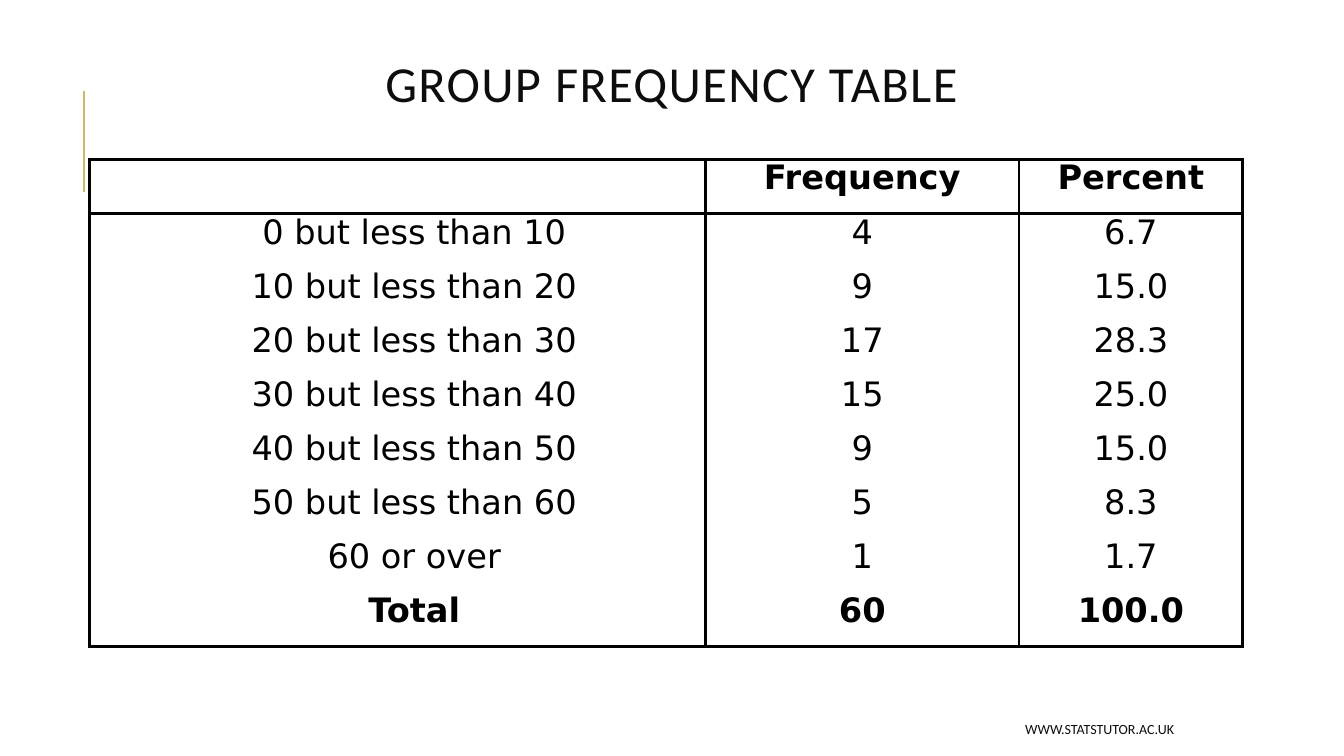
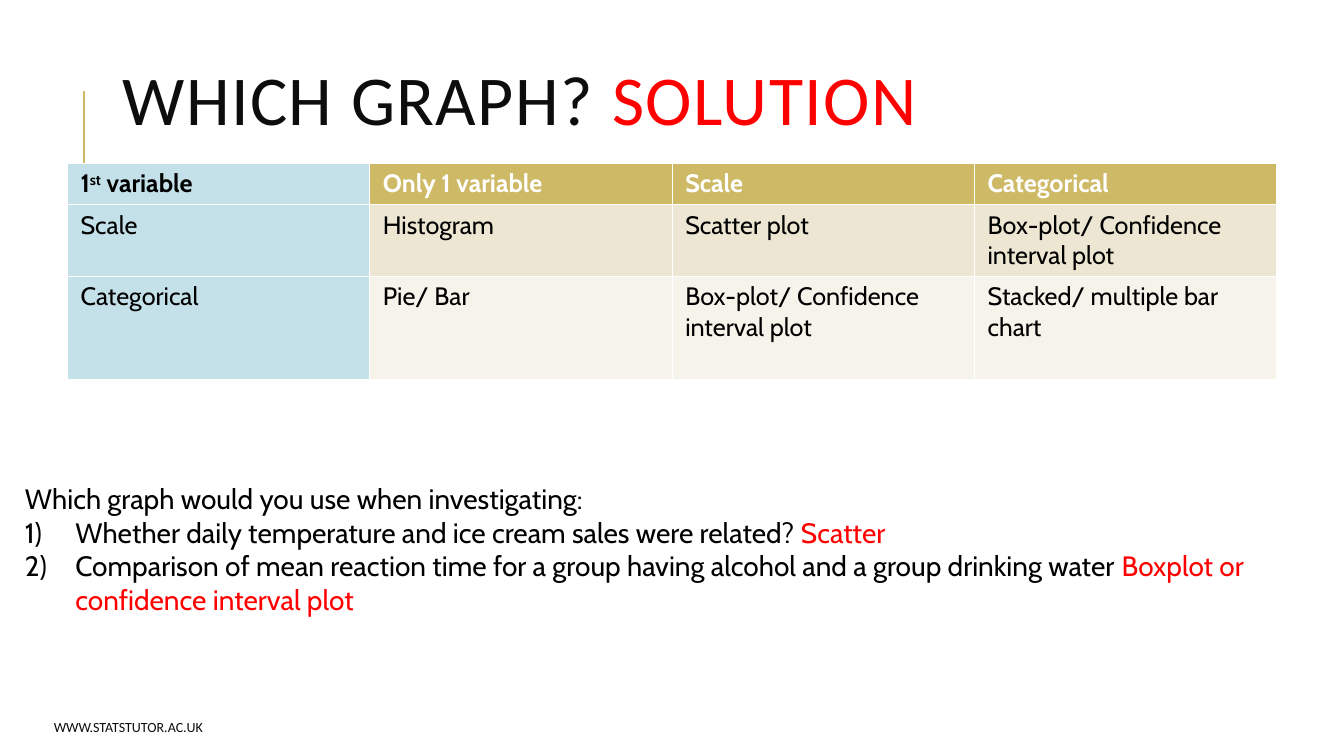
"""Build two slides on grouped frequencies and on choosing a graph."""
import lxml.etree
import pptx
import pptx.dml.color
import pptx.enum.shapes
import pptx.enum.text
import pptx.oxml.ns
import pptx.util

Cm = pptx.util.Cm
Pt = pptx.util.Pt
align = pptx.enum.text.PP_ALIGN
anchor = pptx.enum.text.MSO_ANCHOR
qn = pptx.oxml.ns.qn

COLOURS = {
    "black": "000000", "white": "FFFFFF", "title": "0D0D0D", "answer": "FF0000",
    "gold": "CEB966", "blue": "C4E0E9", "sand": "EDE6D3", "cream": "F6F3EA",
}


def add_run(para, text, font, size, colour="black", bold=False, **attributes):
    """Add one formatted run; extra attributes go to its run properties."""
    span = para.add_run()
    span.text = text
    span.font.name = font
    span.font.size = Pt(size)
    span.font.bold = bold
    span.font.color.rgb = pptx.dml.color.RGBColor.from_string(COLOURS[colour])
    for name, value in attributes.items():
        span._r.get_or_add_rPr().set(name, value)


def fill_cell(cell, colour, borders=()):
    """Fill a cell, after drawing its (side, points) borders."""
    properties = cell._tc.get_or_add_tcPr()
    for side, points in borders:
        line = lxml.etree.SubElement(properties, qn(f"a:ln{side}"), w=str(Pt(points)))
        if points:
            solid = lxml.etree.SubElement(line, qn("a:solidFill"))
            lxml.etree.SubElement(solid, qn("a:srgbClr"), val=COLOURS["black"])
        else:
            lxml.etree.SubElement(line, qn("a:noFill"))
    cell.fill.solid()
    cell.fill.fore_color.rgb = pptx.dml.color.RGBColor.from_string(COLOURS[colour])


deck = pptx.Presentation()
deck.slide_width, deck.slide_height = Cm(33.87), Cm(19.05)
layout = deck.slide_layouts[5]

slide_frames = [
    {
        "title": [("GROUP FREQUENCY TABLE", "title")], "size": 36, "align": align.CENTER,
        "title_at": (2.54, 0.64, 28.78, 3.18), "footer_at": (13.46, 17.98, 16.38, 0.76),
    },
    {
        "title": [("WHICH GRAPH? ", "title"), ("SOLUTION", "answer")], "size": 50,
        "align": align.LEFT,
        "title_at": (2.84, 0.56, 27, 4.17), "footer_at": (-0.94, 17.78, 6.3, 1.07),
    },
]
pages = []
for frame in slide_frames:
    page = deck.slides.add_slide(layout)
    pages.append(page)

    title = page.shapes.title
    title.left, title.top, title.width, title.height = map(Cm, frame["title_at"])
    title.text_frame.word_wrap = True
    title.text_frame.auto_size = pptx.enum.text.MSO_AUTO_SIZE.NONE
    title.text_frame.vertical_anchor = anchor.MIDDLE
    para = title.text_frame.paragraphs[0]
    para.alignment = frame["align"]
    para.line_spacing = 0.8
    for text, colour in frame["title"]:
        add_run(para, text, "Calibri", frame["size"], colour, spc="100")

    rule = page.shapes.add_connector(
        pptx.enum.shapes.MSO_CONNECTOR.STRAIGHT, Cm(2.12), Cm(4.83), Cm(2.12), Cm(2.29))
    rule.line.width = Pt(1.5)
    rule.line.color.rgb = pptx.dml.color.RGBColor.from_string(COLOURS["gold"])
    lxml.etree.SubElement(rule._element.spPr, qn("a:effectLst"))

    footer = page.shapes.add_textbox(*map(Cm, frame["footer_at"]))
    footer.text_frame.word_wrap = True
    footer.text_frame.vertical_anchor = anchor.MIDDLE
    para = footer.text_frame.paragraphs[0]
    para.alignment = align.RIGHT
    add_run(para, "WWW.STATSTUTOR.AC.UK", "Calibri", 10, "title")

frequency_page, graph_page = pages

frequency_rows = [
    ("", "", "Frequency", "Percent"),
    ("", "0 but less than 10", "4", "6.7"),
    ("", "10 but less than 20", "9", "15.0"),
    ("", "20 but less than 30", "17", "28.3"),
    ("", "30 but less than 40", "15", "25.0"),
    ("", "40 but less than 50", "9", "15.0"),
    ("", "50 but less than 60", "5", "8.3"),
    ("", "60 or over", "1", "1.7"),
    ("", "Total", "60", "100.0"),
]
last = len(frequency_rows) - 1
column_edges = [2.25, 0, 2.25, 1, 2.25]
row_edges = [2.25, 2.25] + [0] * (last - 1) + [2.25]
table = frequency_page.shapes.add_table(
    len(frequency_rows), 4, Cm(2.26), Cm(4.02), Cm(29.06), Cm(12.28)).table
table.first_row = table.horz_banding = False
for column, width in zip(table.columns, (0.84, 14.68, 7.9, 5.64)):
    column.width = Cm(width)
for r, row in enumerate(frequency_rows):
    for c, text in enumerate(row):
        cell = table.cell(r, c)
        bottom = row_edges[-1] if c == 0 and r else row_edges[r + 1]
        fill_cell(cell, "white", [
            ("L", column_edges[c]), ("R", column_edges[c + 1]),
            ("T", row_edges[r]), ("B", bottom)])
        if text:
            cell.vertical_anchor = anchor.MIDDLE
            cell.margin_left = cell.margin_right = Cm(0.08)
            cell.margin_top = cell.margin_bottom = Cm(0.05)
            para = cell.text_frame.paragraphs[0]
            para.alignment = align.CENTER
            para.line_spacing = Pt(16)
            add_run(para, text, "DejaVu Sans", 24, bold=r in (0, last))
table.cell(1, 0).merge(table.cell(last, 0))

graph_rows = [
    ("gold", 1.04, ("1st variable", "Only 1 variable", "Scale", "Categorical")),
    ("sand", 1.8, ("Scale", "Histogram", "Scatter plot", "Box-plot/ Confidence interval plot")),
    ("cream", 2.6, ("Categorical", "Pie/ Bar", "Box-plot/ Confidence interval plot",
                    "Stacked/ multiple bar chart")),
]
table = graph_page.shapes.add_table(3, 4, Cm(1.7), Cm(4.12), Cm(30.48), Cm(5.44)).table
for r, (colour, height, row) in enumerate(graph_rows):
    table.rows[r].height = Cm(height)
    for c, text in enumerate(row):
        cell = table.cell(r, c)
        cell.margin_left = cell.margin_right = Cm(0.33)
        fill_cell(cell, colour if c else "blue")
        para = cell.text_frame.paragraphs[0]
        if r == c == 0:
            add_run(para, "1", "Cabin", 18, bold=True)
            add_run(para, "st", "Cabin", 18, bold=True, baseline="30000")
            add_run(para, " variable", "Cabin", 18, bold=True)
        else:
            add_run(para, text, "Cabin", 18, "black" if r else "white", bold=r == 0)

questions = [
    ("Which graph would you use when investigating:", ""),
    ("Whether daily temperature and ice cream sales were related? ", "Scatter"),
    ("Comparison of mean reaction time for a group having alcohol and a group drinking water ",
     "Boxplot or confidence interval plot"),
]
box = graph_page.shapes.add_textbox(Cm(0.38), Cm(12.01), Cm(33.48), Cm(3.68))
box.text_frame.word_wrap = True
for number, (question, answer) in enumerate(questions):
    para = box.text_frame.add_paragraph() if number else box.text_frame.paragraphs[0]
    if number:
        properties = para._p.get_or_add_pPr()
        properties.set("marL", str(Cm(1.27)))
        properties.set("indent", str(-Cm(1.27)))
        lxml.etree.SubElement(properties, qn("a:buFont"), typeface="+mj-lt")
        lxml.etree.SubElement(properties, qn("a:buAutoNum"), type="arabicParenR")
    add_run(para, question, "Cabin", 20)
    if answer:
        add_run(para, answer, "Cabin", 20, "answer")

deck.save("out.pptx")
